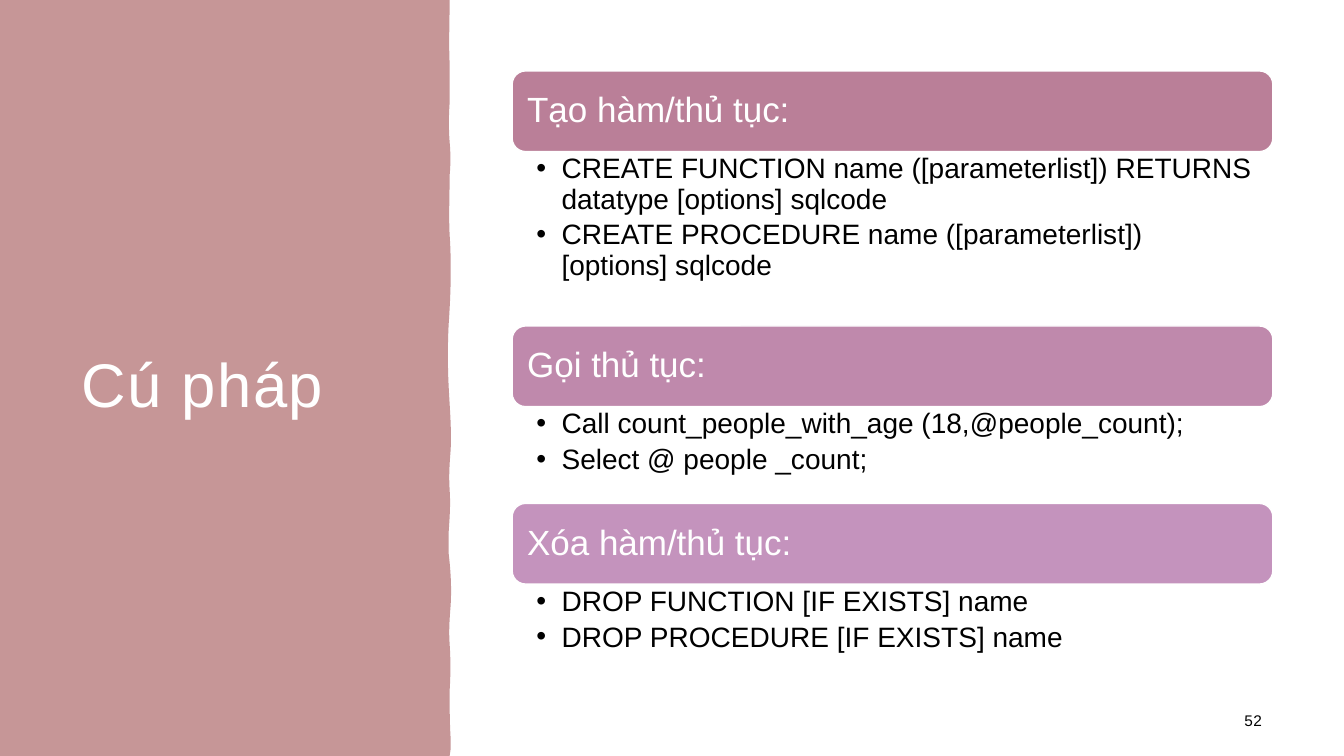
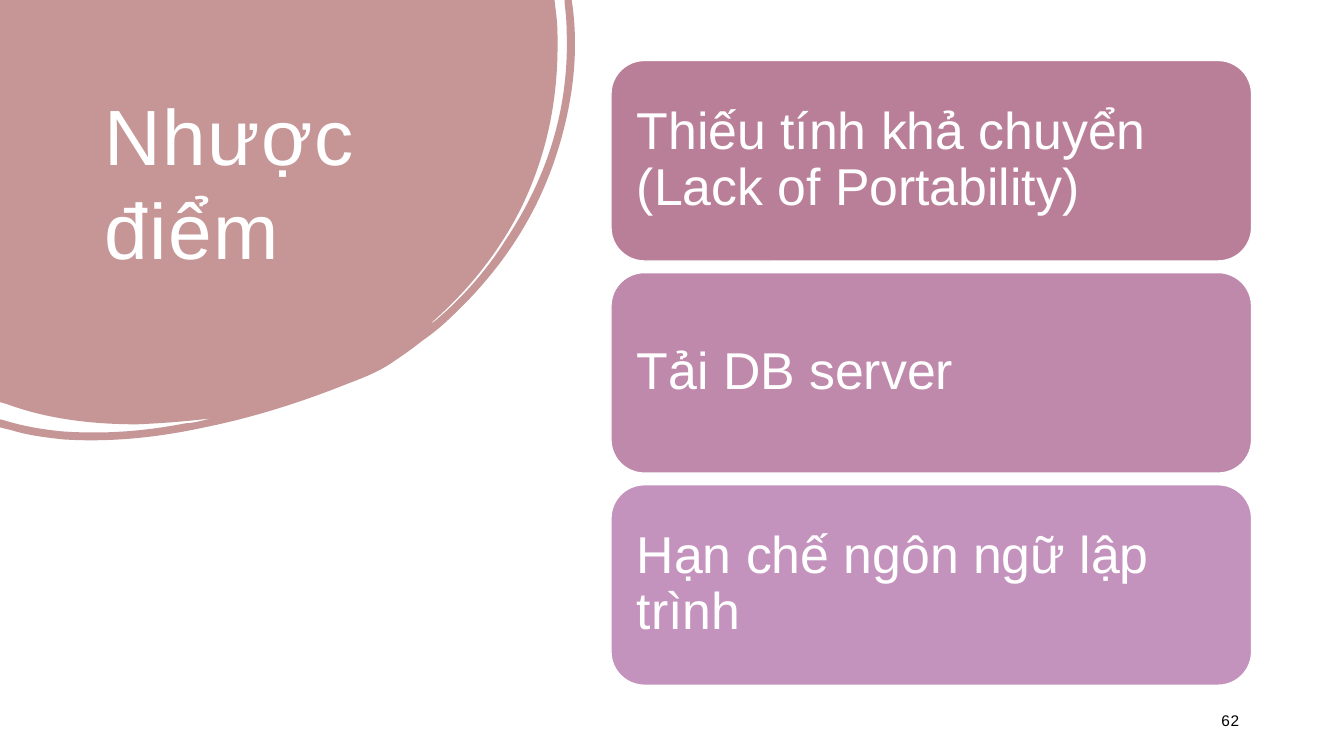
from pptx import Presentation, util as u
from pptx.dml.color import RGBColor
from pptx.enum import shapes as sh, text as tx
from pptx.oxml.ns import qn
from lxml import etree

ROSE = RGBColor(0xC6, 0x96, 0x97)
WHITE = RGBColor(0xFF, 0xFF, 0xFF)
BLACK = RGBColor(0, 0, 0)
TONES = [RGBColor(0xBA, 0x7F, 0x98), RGBColor(0xBF, 0x89, 0xAC), RGBColor(0xC4, 0x93, 0xBD)]
WIDE, HIGH = u.Inches(13.33), u.Inches(7.5)
MID, TOP = tx.MSO_ANCHOR.MIDDLE, tx.MSO_ANCHOR.TOP

HEAD = dict(pad=(0.12, 0.12, 0.12, 0.1), color=WHITE, track=100)
PAGE = dict(pad=(0.12, 0.12, 0.12, 0.1), color=BLACK, track=40, size=11,
            anchor=MID, para=dict(alignment=tx.PP_ALIGN.RIGHT, line_spacing=0.9))
BAR = dict(pad=(0.11, 0.1, 0.1, 0.1), color=WHITE, size=25, anchor=MID,
           para=dict(alignment=tx.PP_ALIGN.LEFT, line_spacing=0.9))
CARD = dict(BAR, pad=(0.16, 0.15, 0.15, 0.15), size=37)
LIST = dict(pad=(0.24, 0.03, 0.19, 0.03), color=BLACK, size=20, anchor=TOP, bullet=0.25,
            para=dict(line_spacing=0.9, space_after=u.Pt(4)))

SYNTAX = [
    ("Tạo hàm/thủ tục:", 23.07, [
        "CREATE FUNCTION name ([parameterlist]) RETURNS datatype [options] sqlcode",
        "CREATE PROCEDURE name ([parameterlist]) [options] sqlcode"]),
    ("Gọi thủ tục:", 12.8, [
        "Call count_people_with_age (18,@people_count);",
        "Select @ people _count;"]),
    ("Xóa hàm/thủ tục:", 12.8, [
        "DROP FUNCTION [IF EXISTS] name",
        "DROP PROCEDURE [IF EXISTS] name"]),
]
FLAWS = ["Thiếu tính khả chuyển (Lack of Portability)", "Tải DB server",
         "Hạn chế ngôn ngữ lập trình"]

WAVE = [
    (0, 0), (4.46, 0),
    (4.46, 0.21, 4.45, 0.42, 4.46, 0.63), (4.46, 0.76, 4.46, 0.89, 4.46, 1.02),
    (4.45, 1.15, 4.45, 1.28, 4.46, 1.41), (4.47, 1.52, 4.47, 1.63, 4.46, 1.74),
    (4.46, 1.94, 4.45, 2.14, 4.46, 2.33), (4.48, 2.63, 4.47, 2.93, 4.45, 3.22),
    (4.44, 3.42, 4.44, 3.63, 4.45, 3.83), (4.46, 4.04, 4.48, 4.25, 4.47, 4.46),
    (4.46, 4.59, 4.45, 4.72, 4.46, 4.86), (4.47, 5, 4.46, 5.14, 4.45, 5.28),
    (4.45, 5.35, 4.45, 5.42, 4.45, 5.49), (4.47, 5.66, 4.48, 5.83, 4.47, 6),
    (4.46, 6.13, 4.45, 6.26, 4.46, 6.39), (4.47, 6.54, 4.47, 6.69, 4.46, 6.85),
    (4.46, 7.01, 4.46, 7.17, 4.47, 7.33), (4.47, 7.37, 4.47, 7.4, 4.47, 7.43),
    (4.46, 7.5), (0, 7.5),
]
BLOB = [
    (0, 0), (5.5, 0), (5.52, 0.17),
    (5.53, 0.26, 5.53, 0.36, 5.53, 0.45), (5.53, 1.01, 5.42, 1.54, 5.18, 2.04),
    (4.96, 2.49, 4.65, 2.88, 4.27, 3.21), (4.29, 3.21, 4.3, 3.19, 4.32, 3.18),
    (4.59, 2.95, 4.82, 2.69, 5.01, 2.39), (5.43, 1.76, 5.65, 1.07, 5.62, 0.3),
    (5.62, 0.21, 5.61, 0.12, 5.6, 0.03), (5.6, 0), (5.67, 0), (5.68, 0.07),
    (5.74, 0.54, 5.68, 1.02, 5.53, 1.5), (5.33, 2.14, 4.97, 2.68, 4.48, 3.14),
    (4.39, 3.23, 4.29, 3.31, 4.19, 3.38), (4.09, 3.46, 3.99, 3.53, 3.87, 3.61),
    (3.75, 3.69, 3.6, 3.75, 3.44, 3.81), (2.99, 3.99, 2.52, 4.14, 2.03, 4.24),
    (1.57, 4.34, 1.1, 4.39, 0.63, 4.36), (0.45, 4.34, 0.28, 4.32, 0.12, 4.27),
    (0, 4.24), (0, 4.16), (0.04, 4.17),
    (0.23, 4.23, 0.42, 4.26, 0.61, 4.28), (1.03, 4.31, 1.43, 4.28, 1.84, 4.2),
    (1.89, 4.2, 1.93, 4.19, 1.98, 4.18), (2.02, 4.17, 2.06, 4.16, 2.1, 4.15),
    (1.86, 4.18, 1.61, 4.2, 1.36, 4.21), (0.92, 4.21, 0.48, 4.16, 0.07, 4.01),
    (0, 3.99),
]


def share(x, y, w, h):
    return [round(n * side / 100) for n, side in zip((x, y, w, h), (WIDE, HIGH) * 2)]


def paint(shape, tone):
    shape.shadow.inherit = False
    shape.fill.solid()
    shape.fill.fore_color.rgb = tone
    shape.line.fill.background()


def outline(page, parts):
    dots = [tuple(u.Inches(n) for n in part[-2:]) for part in parts]
    form = page.shapes.build_freeform(*dots[0])
    form.add_line_segments(dots[1:], close=True)
    shape = form.convert_to_shape()
    lines = list(shape._element.iter(qn("a:lnTo")))
    for line, part in zip(lines, parts[1:]):
        if len(part) == 6:
            line.tag = qn("a:cubicBezTo")
            for spot, k in enumerate((0, 2)):
                dot = etree.Element(qn("a:pt"))
                dot.set("x", str(u.Inches(part[k])))
                dot.set("y", str(u.Inches(part[k + 1])))
                line.insert(spot, dot)
    paint(shape, ROSE)


def write(shape, lines, look):
    frame = shape.text_frame
    frame.word_wrap = True
    frame.vertical_anchor = look["anchor"]
    for side, pad in zip(("left", "top", "right", "bottom"), look["pad"]):
        setattr(frame, "margin_" + side, u.Inches(pad))
    for i, line in enumerate(lines):
        para = frame.add_paragraph() if i else frame.paragraphs[0]
        for key, val in look["para"].items():
            setattr(para, key, val)
        if "bullet" in look:
            props = para._p.get_or_add_pPr()
            gap = u.Inches(look["bullet"])
            props.set("marL", str(gap))
            props.set("indent", str(-gap))
            etree.SubElement(props, qn("a:buFont")).set("typeface", "Arial")
            etree.SubElement(props, qn("a:buChar")).set("char", "•")
        run = para.add_run()
        run.text = line
        run.font.name = "Arial"
        run.font.size = u.Pt(look["size"])
        run.font.color.rgb = look["color"]
        if "track" in look:
            run._r.get_or_add_rPr().set("spc", str(look["track"]))


def label(page, spot, lines, look):
    write(page.shapes.add_textbox(*share(*spot)), lines, look)


def panel(page, spot, line, tone, look):
    shape = page.shapes.add_shape(sh.MSO_SHAPE.ROUNDED_RECTANGLE, *share(*spot))
    paint(shape, tone)
    shape.line.color.rgb = WHITE
    shape.line.width = u.Pt(1)
    write(shape, [line], look)


def start(deck, parts, title, spot, look, num, right, wide):
    page = deck.slides.add_slide(deck.slide_layouts[6])
    page.background.fill.solid()
    page.background.fill.fore_color.rgb = WHITE
    paint(page.shapes.add_shape(sh.MSO_SHAPE.RECTANGLE, 0, 0, WIDE, HIGH), WHITE)
    outline(page, parts)
    label(page, spot, [title], dict(HEAD, **look))
    label(page, (right - wide, 92.67, wide, 5.33), [num], PAGE)
    return page


def syntax(deck):
    look = dict(size=44, anchor=MID, para=dict(line_spacing=1.1))
    page = start(deck, WAVE, "Cú pháp", (5.2, 9.33, 25.43, 81.47), look, "52", 94.8, 15)
    left, top, wide, bar = 38.11, 9.38, 56.6, 10.67
    for tone, (head, high, lines) in zip(TONES, SYNTAX):
        panel(page, (left, top, wide, bar), head, tone, BAR)
        label(page, (left, top + bar, wide, high), lines, LIST)
        top += bar + high


def flaws(deck):
    look = dict(size=56, anchor=TOP, para=dict(line_spacing=1.0))
    page = start(deck, BLOB, "Nhược điểm", (6.9, 9.87, 26.41, 29.6), look, "62", 93.1, 9.75)
    top, high, gap = 8, 26.53, 1.53
    for i, (tone, line) in enumerate(zip(TONES, FLAWS)):
        panel(page, (45.46, top + i * (high + gap), 47.67, high), line, tone, CARD)


def main():
    deck = Presentation()
    deck.slide_width, deck.slide_height = WIDE, HIGH
    syntax(deck)
    flaws(deck)
    deck.save("out.pptx")


if __name__ == "__main__":
    main()
